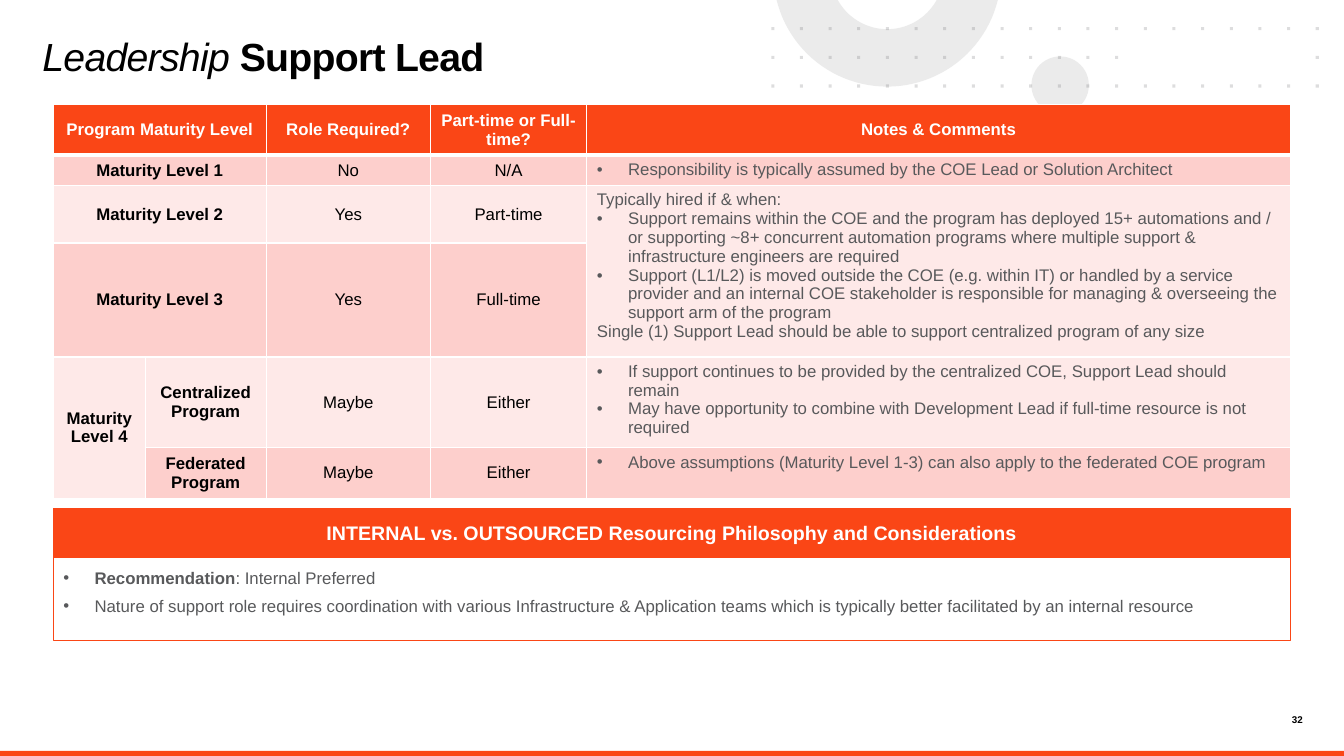
from math import acos, cos, pi, sin

from lxml.etree import SubElement
from pptx import Presentation
from pptx.dml.color import RGBColor
from pptx.enum.shapes import MSO_SHAPE
from pptx.enum.text import MSO_ANCHOR, MSO_AUTO_SIZE, PP_ALIGN
from pptx.oxml import parse_xml
from pptx.oxml.ns import nsdecls, qn
from pptx.util import Inches, Pt

ORANGE, ROSE, BLUSH = "FA4616", "FDCFCC", "FEE9E8"
GRAY, LIGHT_GRAY, BLACK, WHITE = "58595B", "D9D9D9", "000000", "FFFFFF"
COLUMN_WIDTHS = [0.91, 1.2, 1.63, 1.55, 6.98]
ROW_HEIGHTS = [0.47, 0.28, 0.57, 1.03, 0.84, 0.47]
ROW_FILLS = [ORANGE, ROSE, BLUSH, ROSE, BLUSH, ROSE]
MERGES = [(0, 0, 0, 1), (1, 0, 1, 1), (2, 0, 2, 1), (3, 0, 3, 1), (2, 4, 3, 4), (4, 0, 5, 0)]
ROWS = [
    ["Program Maturity Level", "", "Role Required?", "Part-time or Full-time?", ["Notes & Comments"]],
    ["Maturity Level 1", "", "No", "N/A",
     ["• Responsibility is typically assumed by the COE Lead or Solution Architect"]],
    ["Maturity Level 2", "", "Yes", "Part-time",
     ["Typically hired if & when:",
      "• Support remains within the COE and the program has deployed 15+ automations and / or supporting "
      "~8+ concurrent automation programs where multiple support & infrastructure engineers are required",
      "• Support (L1/L2) is moved outside the COE (e.g. within IT) or handled by a service provider and an "
      "internal COE stakeholder is responsible for managing & overseeing the support arm of the program",
      "Single (1) Support Lead should be able to support centralized program of any size"]],
    ["Maturity Level 3", "", "Yes", "Full-time", []],
    ["Maturity Level 4", "Centralized Program", "Maybe", "Either",
     ["• If support continues to be provided by the centralized COE, Support Lead should remain",
      "• May have opportunity to combine with Development Lead if full-time resource is not required"]],
    ["", "Federated Program", "Maybe", "Either",
     ["• Above assumptions (Maturity Level 1-3) can also apply to the federated COE program"]],
]


def rgb(color):
    """Return the colour object of a hex string."""
    return RGBColor.from_string(color)


def write_text(frame, paragraphs, size=12, color=BLACK, bold=False, align=PP_ALIGN.LEFT,
               anchor=MSO_ANCHOR.TOP, space_after=0, line_spacing=None, tracking=None):
    """Write paragraphs of strings or (text, bold, italic) runs; a leading bullet makes a list item."""
    frame.word_wrap = True
    frame.vertical_anchor = anchor
    for index, content in enumerate(paragraphs):
        paragraph = frame.paragraphs[0] if index == 0 else frame.add_paragraph()
        runs = [(content, bold, False)] if isinstance(content, str) else content
        if runs[0][0].startswith("• "):
            properties = paragraph._p.get_or_add_pPr()
            properties.set("marL", str(Inches(0.31)))
            properties.set("indent", str(-Inches(0.31)))
            SubElement(properties, qn("a:buFont"), typeface="Arial")
            SubElement(properties, qn("a:buChar"), char="•")
        paragraph.alignment = align
        paragraph.space_after = Pt(space_after)
        if line_spacing:
            paragraph.line_spacing = line_spacing
        for text, run_bold, run_italic in runs:
            run = paragraph.add_run()
            run.text = text.removeprefix("• ")
            run.font.name, run.font.size = "Arial", Pt(size)
            run.font.bold, run.font.italic = run_bold, run_italic
            run.font.color.rgb = rgb(color)
            if tracking:
                run._r.get_or_add_rPr().set("spc", str(round(tracking * 100)))


def set_margins(frame, margin):
    """Give a text frame equal margins in inches."""
    frame.margin_left = frame.margin_top = frame.margin_right = frame.margin_bottom = Inches(margin)


def paint(shape, fill, line=None, opacity=None):
    """Set the fill, outline and opacity of a shape and drop its shadow."""
    shape.shadow.inherit = False
    shape.fill.solid()
    shape.fill.fore_color.rgb = rgb(fill)
    if opacity:
        color = shape._element.spPr.find(qn("a:solidFill")).find(qn("a:srgbClr"))
        SubElement(color, qn("a:alpha"), val=str(opacity * 1000))
    if line:
        shape.line.color.rgb = rgb(line)
        shape.line.width = Pt(0.75)
    else:
        shape.line.fill.background()


def add_box(slide, kind, left, top, width, height, fill, line=None, opacity=None):
    """Add a painted preset shape."""
    shape = slide.shapes.add_shape(kind, Inches(left), Inches(top), Inches(width), Inches(height))
    paint(shape, fill, line, opacity)
    return shape


def add_outline(slide, contours, fill, opacity):
    """Add one freeform made of closed contours in inches."""
    contours = [[(Inches(x), Inches(y)) for x, y in contour] for contour in contours]
    builder = slide.shapes.build_freeform(*contours[0][0])
    for index, contour in enumerate(contours):
        if index:
            builder.move_to(*contour[0])
        builder.add_line_segments(contour[1:], close=True)
    paint(builder.convert_to_shape(), fill, opacity=opacity)


def arc_below_edge(center_x, depth, radius, steps=48):
    """Return points, left to right, of the part of a circle below the top edge of the slide."""
    half_angle = acos(depth / radius)
    angles = [pi / 2 + half_angle * (1 - 2 * step / steps) for step in range(steps + 1)]
    return [(center_x + radius * cos(angle), max(0, radius * sin(angle) - depth)) for angle in angles]


def add_decoration(slide, left, top, pitch=0.2842, dot=0.03):
    """Draw the circle, the cut ring and the dot grid that starts at left, top."""
    add_box(slide, MSO_SHAPE.OVAL, left + 2.58, top + 0.29, 0.57, 0.57, LIGHT_GRAY, opacity=50)
    ring_x = left + 1.15
    ring = arc_below_edge(ring_x, 0.27, 1.13) + arc_below_edge(ring_x, 0.27, 0.56)[::-1]
    add_outline(slide, [ring], LIGHT_GRAY, 50)
    row_columns = [range(20), [*range(13), 19], range(20)]
    corners = [(0, 0), (dot, 0), (dot, dot), (0, dot)]
    dots = [[(left + column * pitch + x, top + row * pitch + y) for x, y in corners]
            for row, columns in enumerate(row_columns) for column in columns]
    add_outline(slide, dots, GRAY, 20)


def add_title(slide, left, top, width, height):
    """Place and write the slide title."""
    title = slide.shapes.title
    title.left, title.top, title.width, title.height = map(Inches, (left, top, width, height))
    title.text_frame.auto_size = MSO_AUTO_SIZE.NONE
    set_margins(title.text_frame, 0)
    write_text(title.text_frame, [[("Leadership ", False, True), ("Support Lead", True, False)]],
               size=28, line_spacing=0.85, tracking=-0.5)


def add_borders(cell, bottom_width):
    """Give a cell white borders."""
    properties = cell._tc.get_or_add_tcPr()
    for index, (side, width) in enumerate([("L", 1), ("R", 1), ("T", 1), ("B", bottom_width)]):
        properties.insert(index, parse_xml(
            f'<a:ln{side} {nsdecls("a")} w="{Pt(width)}"><a:solidFill>'
            f'<a:srgbClr val="{WHITE}"/></a:solidFill></a:ln{side}>'))


def add_maturity_table(slide, left, top):
    """Build the table of roles by maturity level."""
    table = slide.shapes.add_table(
        len(ROWS), len(COLUMN_WIDTHS), Inches(left), Inches(top),
        Inches(sum(COLUMN_WIDTHS)), Inches(sum(ROW_HEIGHTS))).table
    table.horz_banding = False
    for column, width in zip(table.columns, COLUMN_WIDTHS):
        column.width = Inches(width)
    for row, height in zip(table.rows, ROW_HEIGHTS):
        row.height = Inches(height)
    for first_row, first_column, last_row, last_column in MERGES:
        table.cell(first_row, first_column).merge(table.cell(last_row, last_column))
    for row, texts in enumerate(ROWS):
        header = row == 0
        for column, text in enumerate(texts):
            cell = table.cell(row, column)
            cell.fill.solid()
            cell.fill.fore_color.rgb = rgb(ROW_FILLS[row])
            add_borders(cell, 3 if header else 1)
            notes = column == 4 and not header
            cell.vertical_anchor = MSO_ANCHOR.TOP if notes else MSO_ANCHOR.MIDDLE
            if text:
                write_text(cell.text_frame, [text] if isinstance(text, str) else text,
                           color=WHITE if header else GRAY if notes else BLACK,
                           bold=header or column < 2, anchor=cell.vertical_anchor,
                           align=PP_ALIGN.LEFT if notes else PP_ALIGN.CENTER)


def add_resourcing_panel(slide, left, top, width, header_height, body_height):
    """Draw the resourcing panel with its header band and bullets."""
    body = add_box(slide, MSO_SHAPE.RECTANGLE, left, top + header_height, width, body_height, WHITE, ORANGE)
    header = add_box(slide, MSO_SHAPE.RECTANGLE, left, top, width, header_height, ORANGE, ORANGE)
    for shape in (body, header):
        set_margins(shape.text_frame, 0.1)
    write_text(body.text_frame, [
        [("• Recommendation", True, False), (": Internal Preferred", False, False)],
        "• Nature of support role requires coordination with various Infrastructure & Application teams "
        "which is typically better facilitated by an internal resource"], color=GRAY, space_after=6)
    write_text(header.text_frame, ["INTERNAL vs. OUTSOURCED Resourcing Philosophy and Considerations"],
               size=14, color=WHITE, bold=True, align=PP_ALIGN.CENTER, anchor=MSO_ANCHOR.MIDDLE, space_after=6)


def add_footer(slide, width, height):
    """Draw the bottom bar and the page number."""
    add_box(slide, MSO_SHAPE.RECTANGLE, 0, height - 0.05, width, 0.05, ORANGE)
    number = slide.shapes.add_textbox(Inches(width - 0.8), Inches(height - 0.42), Inches(0.39), Inches(0.13))
    set_margins(number.text_frame, 0)
    write_text(number.text_frame, ["32"], size=7, bold=True, align=PP_ALIGN.RIGHT)


def main():
    """Build and save the presentation."""
    presentation = Presentation()
    presentation.slide_width, presentation.slide_height = Inches(13.33), Inches(7.5)
    slide = presentation.slides.add_slide(presentation.slide_layouts[5])
    add_footer(slide, 13.33, 7.5)
    add_decoration(slide, 7.65, 0.27)
    add_title(slide, 0.42, 0.39, 7.23, 0.75)
    add_resourcing_panel(slide, 0.53, 5.04, 12.27, 0.49, 0.82)
    add_maturity_table(slide, 0.53, 1.04)
    presentation.save("out.pptx")


if __name__ == "__main__":
    main()
